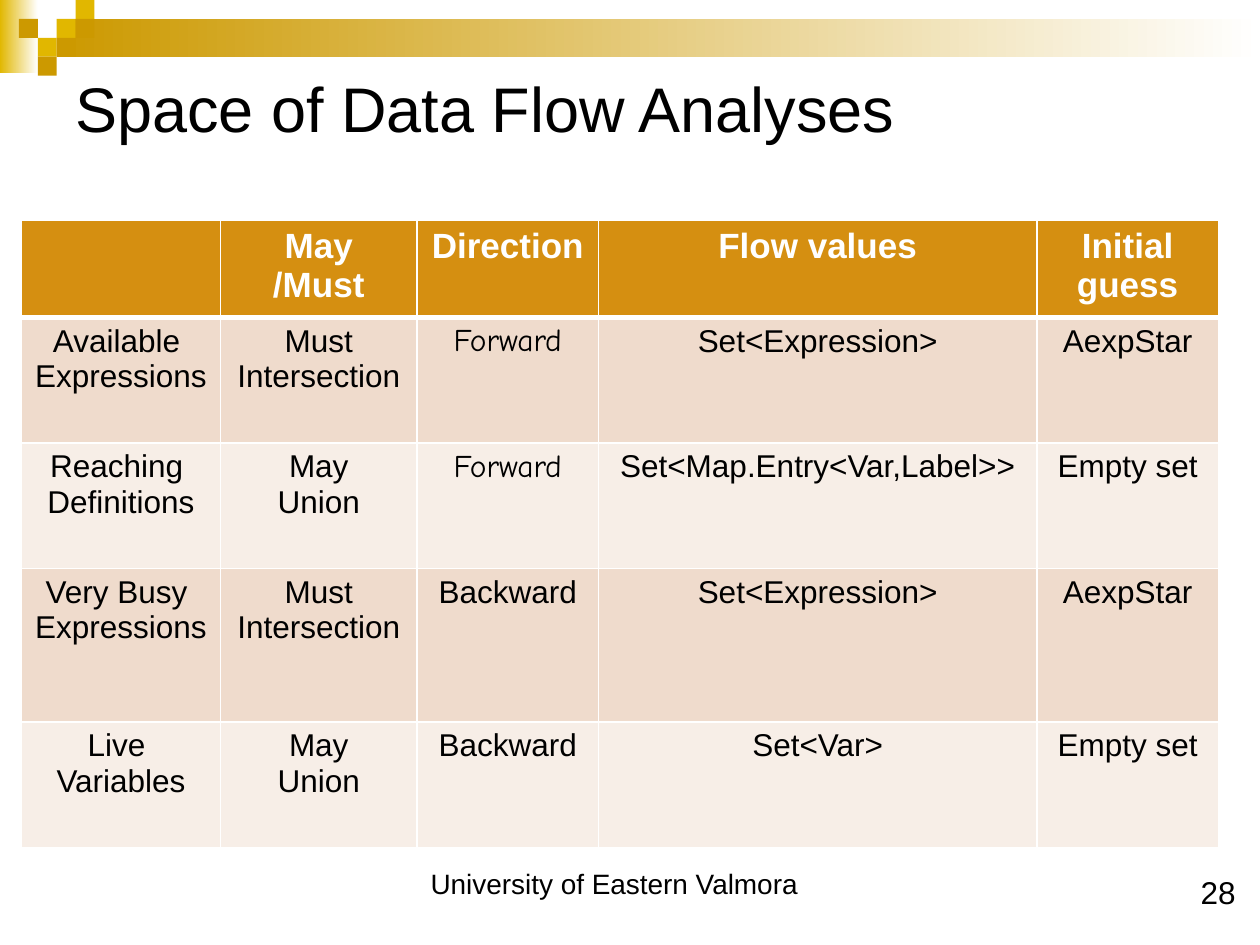
from collections import namedtuple

from lxml import etree
from pptx import Presentation
from pptx import util as u
from pptx.dml import color
from pptx.enum import shapes, text
from pptx.oxml import ns

COLUMNS, ROWS = 1000, 750
UNIT = u.Inches(0.01)
Box = namedtuple("Box", "left top width height")

WHITE, BLACK = "FFFFFF", "000000"
GOLD, DARK_GOLD = "E1B700", "CC9900"
HEADER_FILL, BAND_FILLS = "D58F11", ("EFDBCC", "F7EEE7")

COLUMN_WIDTHS = (158, 156, 144, 348, 144)
ROW_HEIGHTS = (77, 100, 100, 122, 100)
ANALYSES = (
    ("", "May\n/Must", "Direction", "Flow values", "Initial guess"),
    ("Available \nExpressions", "Must\nIntersection", "Forward", "Set<Expression>", "AexpStar"),
    ("Reaching \nDefinitions", "May\nUnion", "Forward", "Set<Map.Entry<Var,Label>>", "Empty set"),
    ("Very Busy \nExpressions", "Must\nIntersection", "Backward", "Set<Expression>", "AexpStar"),
    ("Live \nVariables", "May\nUnion", "Backward", "Set<Var>", "Empty set"),
)


def rgb(value):
    return color.RGBColor.from_string(value)


def emu(box):
    return [round(length * UNIT) for length in box]


def style_text(text_frame, size, fill=BLACK, bold=False, font="Arial", align=text.PP_ALIGN.LEFT):
    for paragraph in text_frame.paragraphs:
        paragraph.alignment = align
        for run in paragraph.runs:
            run.font.name = font
            run.font.size = u.Pt(size)
            run.font.bold = bold
            run.font.color.rgb = rgb(fill)


def add_label(slide, box, words, size, wrap=True, align=text.PP_ALIGN.LEFT):
    text_frame = slide.shapes.add_textbox(*emu(box)).text_frame
    text_frame.word_wrap = wrap
    text_frame.text = words
    style_text(text_frame, size, align=align)


def add_block(slide, box, start, end=None):
    shape = slide.shapes.add_shape(shapes.MSO_SHAPE.RECTANGLE, *emu(box))
    shape.shadow.inherit = False
    shape.line.fill.background()
    if end is None:
        shape.fill.solid()
        shape.fill.fore_color.rgb = rgb(start)
        return
    shape.fill.gradient()
    shape.fill.gradient_angle = 0
    for stop, value, position in zip(shape.fill.gradient_stops, (start, end), (0, 1)):
        stop.color.rgb = rgb(value)
        stop.position = position


def add_banner(slide, box):
    tile = box.height / 4
    add_block(slide, Box(box.left, box.top, 2 * tile, box.height - 2), GOLD, WHITE)
    bar_left = box.left + 3 * tile
    add_block(slide, Box(bar_left, box.top + tile, box.width - 3 * tile, 2 * tile), DARK_GOLD, WHITE)
    tiles = (
        (3, 1, GOLD), (4, 0, GOLD), (4, 1, DARK_GOLD), (2, 2, GOLD),
        (1, 1, DARK_GOLD), (3, 2, DARK_GOLD), (2, 3, DARK_GOLD),
    )
    for column, row, fill in tiles:
        add_block(slide, Box(box.left + column * tile, box.top + row * tile, tile, tile), fill)


def add_borders(cell, widths):
    properties = cell._tc.get_or_add_tcPr()
    for side, width in zip("LRTB", widths):
        line = etree.SubElement(properties, ns.qn(f"a:ln{side}"), w=str(u.Pt(width)))
        fill = etree.SubElement(line, ns.qn("a:solidFill"))
        etree.SubElement(fill, ns.qn("a:srgbClr"), val=WHITE)


def add_analysis_table(slide, box):
    table = slide.shapes.add_table(len(ROW_HEIGHTS), len(COLUMN_WIDTHS), *emu(box)).table
    for column, width in zip(table.columns, COLUMN_WIDTHS):
        column.width = round(box.width * width / sum(COLUMN_WIDTHS) * UNIT)
    for row, height in zip(table.rows, ROW_HEIGHTS):
        row.height = round(box.height * height / sum(ROW_HEIGHTS) * UNIT)
    for row_index, entries in enumerate(ANALYSES):
        header = row_index == 0
        for column_index, words in enumerate(entries):
            cell = table.cell(row_index, column_index)
            add_borders(cell, (1, 1, 3 if row_index == 1 else 1, 3 if header else 1))
            cell.fill.solid()
            cell.fill.fore_color.rgb = rgb(HEADER_FILL if header else BAND_FILLS[(row_index - 1) % 2])
            cell.text_frame.text = words
            style_text(
                cell.text_frame,
                20 if header else 18,
                WHITE if header else BLACK,
                header,
                "Comic Neue" if words == "Forward" else "Arial",
                text.PP_ALIGN.CENTER,
            )


def add_footer(slide, box):
    add_label(slide, Box(box.left, box.top, 875, 37), "University of Eastern Valmora", 16,
              align=text.PP_ALIGN.CENTER)
    add_label(slide, Box(box.left + box.width - 48, box.top + 5, 48, 40), "28", 18, wrap=False)


def main():
    presentation = Presentation()
    presentation.slide_width = COLUMNS * UNIT
    presentation.slide_height = ROWS * UNIT
    slide = presentation.slides.add_slide(presentation.slide_layouts[6])
    add_banner(slide, Box(0, 0, COLUMNS, 60))
    add_label(slide, Box(50, 50, 808, 125), "Space of Data Flow Analyses", 36)
    add_analysis_table(slide, Box(17, 175, 950, 498))
    add_footer(slide, Box(50, 683, 941, 45))
    presentation.save("out.pptx")


if __name__ == "__main__":
    main()
